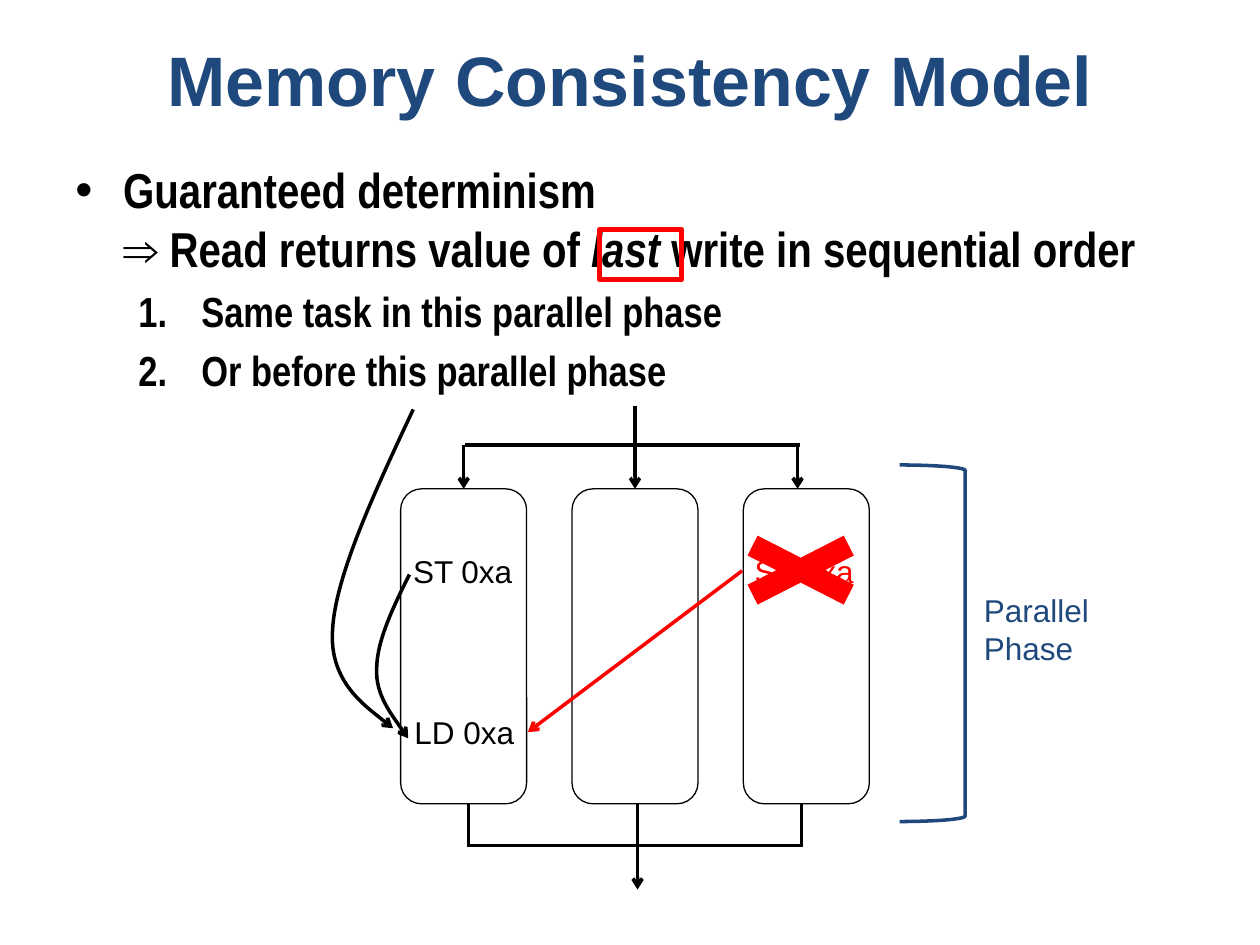
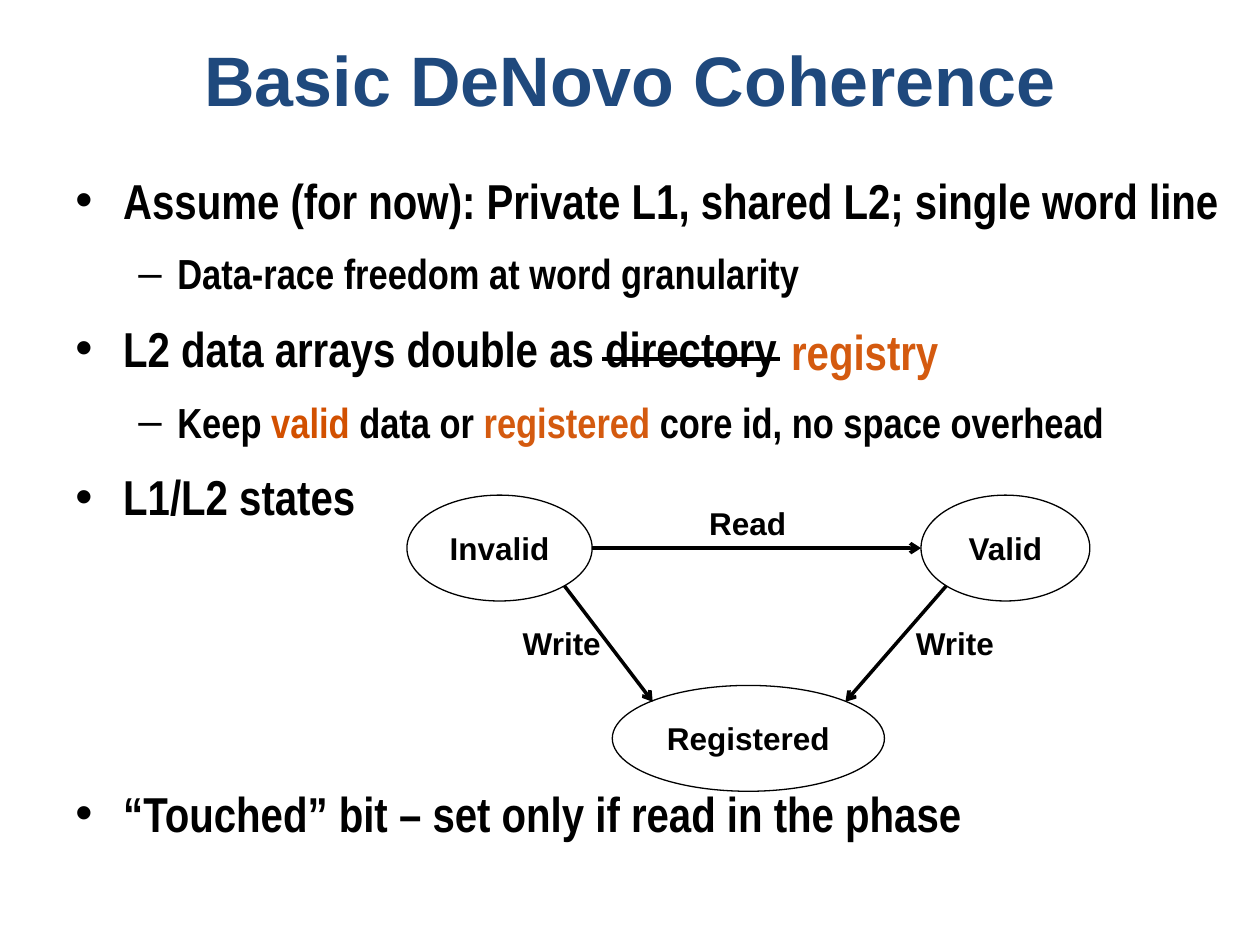
from lxml.etree import SubElement as sub
from pptx import Presentation
from pptx.dml.color import RGBColor
from pptx.enum.shapes import MSO_CONNECTOR as Link, MSO_SHAPE as Kind
from pptx.enum.text import MSO_ANCHOR as Anchor, PP_ALIGN as Align
from pptx.oxml.ns import qn
from pptx.util import Inches, Pt

COLORS = {"ink": "000000", "navy": "1F497D", "red": "FF0000",
          "rust": "D45A0F", "amber": "D25000"}
SANS, SLIM = "Arial", "Arial Narrow"


def tint(name):
    return RGBColor.from_string(COLORS[name])


def style(font, size, face=SANS, color="ink", bold=False):
    font.size, font.name, font.bold = Pt(size), face, bold
    font.color.rgb = tint(color)


# Shared drawing helpers: all lengths are inches

def text(slide, box, lines, size=18, face=SANS, color="ink", bold=False,
         wrap=False):
    frame = slide.shapes.add_textbox(*map(Inches, box)).text_frame
    frame.word_wrap = wrap
    for i, line in enumerate(lines):
        para = frame.add_paragraph() if i else frame.paragraphs[0]
        para.text = line
        style(para.font, size, face, color, bold)
    return frame


def ink(shape, color, width, arrow=False):
    shape.line.color.rgb = tint(color)
    shape.line.width = Pt(width)
    if arrow:
        sub(shape.line._get_or_add_ln(), qn("a:tailEnd"), type="arrow")


def shape(slide, kind, box, color="ink", width=0.75):
    item = slide.shapes.add_shape(kind, *map(Inches, box))
    item.shadow.inherit = False
    item.fill.background()
    ink(item, color, width)
    return item


def line(slide, start, end, color="ink", arrow=False):
    item = slide.shapes.add_connector(
        Link.STRAIGHT, *map(Inches, (*start, *end)))
    ink(item, color, 2, arrow)
    sub(item._element.spPr, qn("a:effectLst"))
    return item


def curve(slide, x, y, points):
    """Arrow along cubic curves, three points to each, from (x, y)."""
    spots = [(Inches(x + dx), Inches(y + dy)) for dx, dy in points]
    pen = slide.shapes.build_freeform(Inches(x), Inches(y))
    pen.add_line_segments(spots, close=False)
    item = pen.convert_to_shape()
    item.shadow.inherit = False
    item.fill.background()
    ink(item, "ink", 2, True)
    track = next(item._element.iter(qn("a:path")))
    steps = track.findall(qn("a:lnTo"))
    for i in range(0, len(steps), 3):
        bend = sub(track, qn("a:cubicBezTo"))
        for step in steps[i:i + 3]:
            bend.append(step[0])
            track.remove(step)


def title(slide, words):
    frame = text(slide, (0.5, 0, 9, 1.25), [words], 40, color="navy",
                 bold=True, wrap=True)
    frame.vertical_anchor = Anchor.MIDDLE
    frame.paragraphs[0].alignment = Align.CENTER


# Bullet styles: level, size, left margin, hanging indent
BULLETS = {"•": (0, 28, 0.38, 0.38), "–": (1, 24, 0.81, 0.31),
           "1.": (1, 24, 1, 0.5)}


def body(slide, box, items, after=0):
    """Items are (mark, runs, extra space before); runs are (words, look)."""
    frame = slide.shapes.add_textbox(*map(Inches, box)).text_frame
    frame.word_wrap = True
    for i, (mark, runs, extra) in enumerate(items):
        para = frame.add_paragraph() if i else frame.paragraphs[0]
        level, size, left, hang = BULLETS[mark]
        para.level = level
        props = para._p.get_or_add_pPr()
        props.set("marL", str(Inches(left)))
        props.set("indent", str(-Inches(hang)))
        if mark == "1.":
            sub(props, qn("a:buAutoNum"), type="arabicPeriod")
        else:
            sub(props, qn("a:buFont"), typeface=SANS)
            sub(props, qn("a:buChar"), char=mark)
        para.space_before = Pt(0.2 * size + extra)
        para.space_after = Pt(after)
        style(para.font, size, SLIM, bold=True)
        for words, look in runs:
            head, *rest = words.split("\n")
            add_run(para, head, look)
            for part in rest:
                para.add_line_break()
                add_run(para, part, look)


def add_run(para, words, look):
    run = para.add_run()
    run.text = words
    if look == "italic":
        run.font.italic = True
    elif look:
        run.font.color.rgb = tint(look)


# Slide 1: memory consistency

def phase(slide, x, y):
    """Three parallel tasks between a fork and a join."""
    tasks = [shape(slide, Kind.ROUNDED_RECTANGLE,
                   (x + 1.36 * i, y + 0.66, 1, 2.5)) for i in range(3)]
    # Fork
    bar = y + 0.31
    line(slide, (x + 0.51, bar), (x + 3.17, bar))
    for dx, task in zip((0.5, 1.86, 3.15), tasks):
        drop = line(slide, (x + dx, bar), (x + dx, y + 0.66), arrow=True)
        if dx < 3:
            drop.end_connect(task, 0)
    line(slide, (x + 1.86, y), (x + 1.86, bar + 0.04))
    # Join
    bar = y + 3.49
    line(slide, (x + 0.54, bar), (x + 3.19, bar))
    for dx in (0.54, 1.88, 3.18):
        line(slide, (x + dx, y + 3.16), (x + dx, bar + 0.01))
    line(slide, (x + 1.88, bar), (x + 1.88, bar + 0.35), arrow=True)
    # Load and the stores it may see
    text(slide, (x + 0.01, y + 2.39, 1, 0.4), ["LD 0xa"])
    text(slide, (x, y + 1.11, 1, 0.4), ["ST 0xa"])
    curve(slide, x + 0.07, y + 1.34,
          [(-0.13, 0.26), (-0.26, 0.53), (-0.26, 0.75),
           (-0.27, 0.96), (-0.01, 1.3), (-0.01, 1.3)])
    curve(slide, x + 0.1, y + 0.03,
          [(-0.31, 0.66), (-0.62, 1.33), (-0.64, 1.75),
           (-0.67, 2.17), (-0.16, 2.53), (-0.16, 2.53)])
    # Store that is ruled out
    text(slide, (x + 2.71, y + 1.11, 1, 0.4), ["ST 0xa"], color="red")
    line(slide, (x + 2.71, y + 1.31), (x + 1.01, y + 2.59), "red", True)
    cross = shape(slide, Kind.MATH_MULTIPLY, (x + 2.44, y + 0.93, 1.47, 0.75))
    cross.fill.solid()
    cross.fill.fore_color.rgb = tint("red")
    cross.line.fill.background()


def brace(slide, x, y):
    side = shape(slide, Kind.LEFT_BRACKET, (x, y, 0.52, 2.83), "navy", 2)
    side.rotation = 180
    text(slide, (x + 0.57, y + 0.95, 1.04, 0.71), ["Parallel", "Phase"],
         color="navy")


def memory(slide):
    title(slide, "Memory Consistency Model")
    body(slide, (0.5, 1.22, 9, 3.31), [
        ("•", [("Guaranteed determinism \n⇒ Read returns value of ", None),
               ("last", "italic"), (" write in sequential order", None)], 0),
        ("1.", [("Same task in this parallel phase", None)], 0),
        ("1.", [("Or before this parallel phase", None)], 0)])
    shape(slide, Kind.RECTANGLE, (4.76, 1.82, 0.65, 0.4), "red", 3)
    phase(slide, 3.18, 3.22)
    brace(slide, 7.14, 3.69)


# Slide 2: coherence states

def states(slide, x, y):
    """State diagram: three ovals and the moves between them."""
    for words, dx, dy, wide in (("Invalid", 0, 0, 1.47),
                                ("Valid", 4.08, 0, 1.34),
                                ("Registered", 1.63, 1.51, 2.16)):
        oval = shape(slide, Kind.OVAL, (x + dx, y + dy, wide, 0.84))
        frame = oval.text_frame
        frame.word_wrap = False
        frame.vertical_anchor = Anchor.MIDDLE
        para = frame.paragraphs[0]
        para.text = words
        para.alignment = Align.CENTER
        style(para.font, 18, bold=True)
    for ax, ay, bx, by in ((1.47, 0.42, 4.08, 0.42),
                           (1.25, 0.72, 1.95, 1.64),
                           (4.28, 0.72, 3.48, 1.64)):
        line(slide, (x + ax, y + ay), (x + bx, y + by), arrow=True)
    for words, dx, dy in (("Read", 2.3, 0.02), ("Write", 0.82, 0.97),
                          ("Write", 3.94, 0.97)):
        text(slide, (x + dx, y + dy, 0.83, 0.4), [words], bold=True)


def rename(slide, x, y):
    """Strike the old word and set the new one after it."""
    line(slide, (x, y + 0.35), (x + 1.41, y + 0.35))
    text(slide, (x + 1.4, y, 1.41, 0.57), ["registry"], 28, SLIM, "rust", True)


def coherence(slide):
    title(slide, "Basic DeNovo Coherence")
    gap = 3 * 45.2  # room for the state diagram
    body(slide, (0.5, 1.3, 9.33, 5.28), [
        ("•", [("Assume (for now): Private L1, shared L2; single word line",
                None)], 0),
        ("–", [("Data-race freedom at word granularity", None)], 0),
        ("•", [("L2 data arrays double as directory", None)], 0),
        ("–", [("Keep ", None), ("valid", "amber"), (" data or ", None),
               ("registered", "rust"),
               (" core id, no space overhead", None)], 0),
        ("•", [("L1/L2 states", None)], 0),
        ("•", [("“Touched” bit – set only if read in the phase", None)],
         gap)], after=6)
    rename(slide, 4.78, 2.5)
    states(slide, 3.23, 3.93)


def main():
    deck = Presentation()
    deck.slide_width, deck.slide_height = Inches(10), Inches(7.5)
    for build in (memory, coherence):
        build(deck.slides.add_slide(deck.slide_layouts[6]))
    deck.save("out.pptx")


if __name__ == "__main__":
    main()
